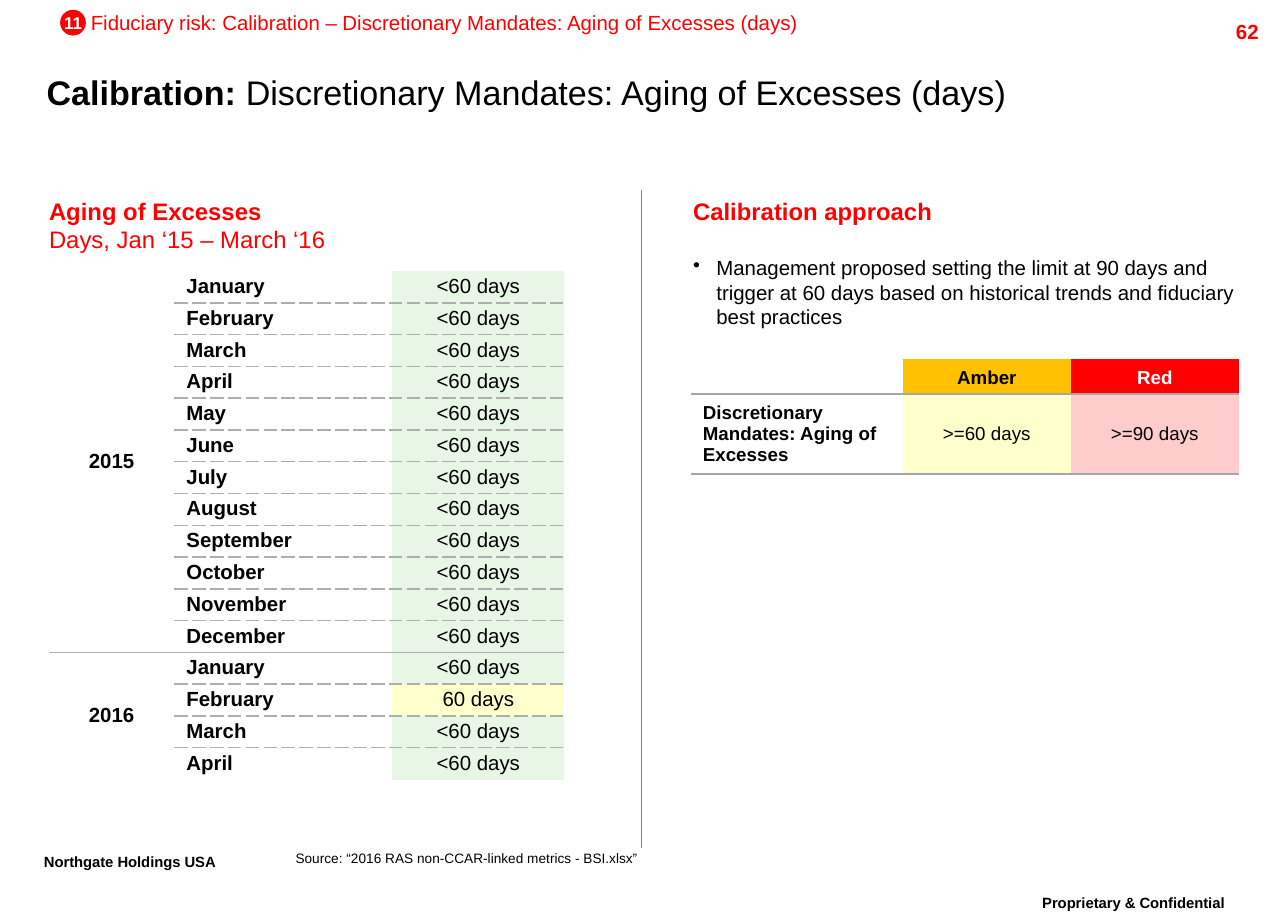
from lxml import etree
from pptx import Presentation
from pptx.dml.color import RGBColor
from pptx.enum.shapes import MSO_CONNECTOR, MSO_SHAPE
from pptx.enum.text import MSO_ANCHOR, PP_ALIGN
from pptx.oxml.ns import qn
from pptx.util import Inches, Pt

LEFT, CENTER, RIGHT = PP_ALIGN.LEFT, PP_ALIGN.CENTER, PP_ALIGN.RIGHT
TOP, MIDDLE, BOTTOM = MSO_ANCHOR.TOP, MSO_ANCHOR.MIDDLE, MSO_ANCHOR.BOTTOM
STRAIGHT, ELLIPSE = MSO_CONNECTOR.STRAIGHT, MSO_SHAPE.OVAL
FONT = "Arial"
PLAIN_TABLE_STYLE = "{2D5ABB26-0587-4C30-8999-92F81FD0307C}"
COLORS = {
    "black": "000000", "white": "FFFFFF", "red": "FF0000", "amber": "FFC000",
    "pale green": "E8F6E6", "pale yellow": "FFFFCC", "pale red": "FFCCCC",
    "divider": "7F7F7F", "month rule": "AEAEAE", "limit rule": "A6A6A6",
}
MONTHS = ["January", "February", "March", "April", "May", "June", "July",
          "August", "September", "October", "November", "December"]
YEARS = {"2015": MONTHS, "2016": MONTHS[:4]}
EXCEPTIONS = {("2016", "February"): ("60 days", "pale yellow")}


def rgb(name):
    return RGBColor.from_string(COLORS[name])


def write_span(para, text, size, color="black", bold=False):
    span = para.add_run()
    span.text = text
    for name, value in {"name": FONT, "size": Pt(size), "bold": bold}.items():
        setattr(span.font, name, value)
    span.font.color.rgb = rgb(color)
    return span


def set_frame(frame, insets, anchor, wrap=True):
    """Set the insets (left, top, right, bottom), anchor and wrapping."""
    sides = ("margin_left", "margin_top", "margin_right", "margin_bottom")
    for side, inset in zip(sides, insets):
        setattr(frame, side, Inches(inset))
    frame.vertical_anchor = anchor
    frame.word_wrap = wrap


def add_text(page, box, lines, align=LEFT, anchor=TOP, insets=(0, 0, 0, 0), wrap=True):
    """Add a text box; each line is a list of write_span arguments."""
    frame = page.shapes.add_textbox(*map(Inches, box)).text_frame
    set_frame(frame, insets, anchor, wrap)
    for index, spans in enumerate(lines):
        para = frame.paragraphs[0] if index == 0 else frame.add_paragraph()
        para.alignment = align
        for span in spans:
            write_span(para, *span)
    return frame


def add_plain_table(page, box, widths, heights):
    frame = page.shapes.add_table(len(heights), len(widths), *map(Inches, box))
    table = frame.table
    table.first_row = table.horz_banding = False
    table._tbl.tblPr.find(qn("a:tableStyleId")).text = PLAIN_TABLE_STYLE
    for column, width in zip(table.columns, widths):
        column.width = Inches(width)
    for row, height in zip(table.rows, heights):
        row.height = Inches(height)
    return table


def add_border(cell, side, color, dash):
    line = etree.SubElement(cell._tc.get_or_add_tcPr(), qn(f"a:{side}"), w=str(Pt(1)))
    fill = etree.SubElement(line, qn("a:solidFill"))
    etree.SubElement(fill, qn("a:srgbClr"), val=COLORS[color])
    etree.SubElement(line, qn("a:prstDash"), val=dash)


def fill_cell(cell, text, size, color="black", bold=False, fill=None, align=CENTER,
              anchor=MIDDLE, insets=(0.1, 0.05, 0.1, 0.05), spacing=1.0,
              rule="month rule", top=None, bottom=None):
    """Format one cell; top and bottom are the dash types of its rules."""
    for name, inset in zip(("left", "top", "right", "bottom"), insets):
        setattr(cell, f"margin_{name}", Inches(inset))
    cell.vertical_anchor = anchor
    for side, dash in (("lnT", top), ("lnB", bottom)):
        if dash:
            add_border(cell, side, rule, dash)
    if fill:
        cell.fill.solid()
        cell.fill.fore_color.rgb = rgb(fill)
    else:
        cell.fill.background()
    para = cell.text_frame.paragraphs[0]
    para.alignment, para.line_spacing = align, spacing
    if text:
        write_span(para, text, size, color, bold)
    else:
        etree.SubElement(para._p, qn("a:endParaRPr"), sz=str(size * 100))


def add_header(page, box):
    left, top, width, height = box
    badge = page.shapes.add_shape(ELLIPSE, Inches(left + 0.11), Inches(top),
                                  Inches(0.21), Inches(0.21))
    badge.shadow.inherit = False
    badge.fill.solid()
    badge.fill.fore_color.rgb = rgb("red")
    badge.line.fill.background()
    set_frame(badge.text_frame, (0, 0, 0, 0), MIDDLE, False)
    para = badge.text_frame.paragraphs[0]
    para.alignment = CENTER
    write_span(para, "11", 10, "white", True)
    topic = "Discretionary Mandates: Aging of Excesses (days)"
    add_text(page, (left + 0.36, top, 5.81, 0.2),
             [[(f"Fiduciary risk: Calibration – {topic}", 12, "red")]], wrap=False)
    add_text(page, (left + width - 1, top + 0.03, 1, 0.24), [[("62", 12, "red", True)]],
             RIGHT, insets=(0.1, 0.05, 0.1, 0.05))
    add_text(page, (left, top + height - 0.48, 9.48, 0.48),
             [[("Calibration: ", 20, "black", True), (topic, 20)]], anchor=MIDDLE)


def add_excess_panel(page, box):
    left, top, width, height = box
    add_text(page, (left, top, width, 0.51),
             [[("Aging of Excesses", 14, "red", True)],
              [("Days, Jan ‘15 – March ‘16", 14, "red")]])
    row_count = sum(map(len, YEARS.values()))
    table_height = height - 0.61
    table = add_plain_table(page, (left, top + 0.61, width, table_height),
                            (1.02, 1.78, 1.4), [table_height / row_count] * row_count)
    layout = {"size": 12, "insets": (0.1, 0.01, 0.1, 0), "spacing": 0.86}
    row, above = 0, None
    for year, months in YEARS.items():
        first, last = row, row + len(months) - 1
        year_end = "solid" if last < row_count - 1 else None
        for month in months:
            below = year_end if row == last else "sysDash"
            value, fill = EXCEPTIONS.get((year, month), ("<60 days", "pale green"))
            fill_cell(table.cell(row, 0), year if row == first else "", bold=True,
                      top=above if row == first else None,
                      bottom=year_end if row in (first, last) else None, **layout)
            fill_cell(table.cell(row, 1), month, bold=True, align=LEFT,
                      top=above, bottom=below, **layout)
            fill_cell(table.cell(row, 2), value, fill=fill,
                      top=above, bottom=below, **layout)
            row, above = row + 1, below
        table.cell(first, 0).merge(table.cell(last, 0))


def add_approach_panel(page, box):
    left, top, width, height = box
    add_text(page, (left, top, 2.99, 0.36), [[("Calibration approach", 14, "red", True)]])
    frame = add_text(page, (left, top + 0.48, width, 0.61), [[(
        "Management proposed setting the limit at 90 days and trigger at 60 days "
        "based on historical trends and fiduciary best practices", 12)]])
    indent = Inches(0.19)
    props = frame.paragraphs[0]._p.get_or_add_pPr()
    props.set("marL", str(indent))
    props.set("indent", str(-indent))
    etree.SubElement(props, qn("a:buChar"), char="•")

    table = add_plain_table(page, (left - 0.02, top + 1.33, 4.47, height - 1.33),
                            (1.73, 1.37, 1.37), (0.28, 0.65))
    header = {"size": 11, "bold": True, "anchor": BOTTOM, "rule": "limit rule",
              "bottom": "solid"}
    limits = {"size": 11, "rule": "limit rule", "top": "solid", "bottom": "solid"}
    fill_cell(table.cell(0, 0), "", **header)
    fill_cell(table.cell(1, 0), "Discretionary Mandates: Aging of Excesses",
              bold=True, align=LEFT, **limits)
    levels = [("Amber", "black", "amber", ">=60 days", "pale yellow"),
              ("Red", "white", "red", ">=90 days", "pale red")]
    for column, (level, color, fill, limit, tint) in enumerate(levels, 1):
        fill_cell(table.cell(0, column), level, color=color, fill=fill, **header)
        fill_cell(table.cell(1, column), limit, fill=tint, insets=(0.05,) * 4, **limits)


def add_divider(page, box):
    left, top, width, height = box
    divider = page.shapes.add_connector(STRAIGHT, Inches(left), Inches(top),
                                        Inches(left + width), Inches(top + height))
    divider.line.color.rgb = rgb("divider")
    divider.line.width = Pt(0.75)
    etree.SubElement(divider._element.spPr, qn("a:effectLst"))


def add_footer(page, box):
    left, top, width, height = box
    marks = [("Northgate Holdings USA", (left, top, 1.91, 0.35), LEFT),
             ("Proprietary & Confidential",
              (left + width - 2.18, top + height - 0.35, 2.18, 0.35), CENTER)]
    for text, place, align in marks:
        frame = add_text(page, place, [[(text, 15, "black", True)]], align,
                         insets=(0.1, 0.05, 0.1, 0.05))
        para = frame.paragraphs[0]
        para.line_spacing = 0.86
        para.runs[0]._r.get_or_add_rPr().set("baseline", "30000")
    add_text(page, (left + 2.15, top + 0.02, 6.16, 0.13),
             [[("Source: “2016 RAS non-CCAR-linked metrics - BSI.xlsx”", 8)]], anchor=BOTTOM)


def main():
    deck = Presentation()
    deck.slide_width, deck.slide_height = Inches(10.5), Inches(7.5)
    page = deck.slides.add_slide(deck.slide_layouts[6])
    add_header(page, (0.38, 0.08, 9.98, 0.91))
    add_divider(page, (5.23, 1.55, 0, 5.36))
    add_approach_panel(page, (5.65, 1.6, 4.45, 2.26))
    add_excess_panel(page, (0.4, 1.6, 4.2, 4.76))
    add_footer(page, (0.26, 6.91, 10.07, 0.69))
    deck.save("out.pptx")


if __name__ == "__main__":
    main()
